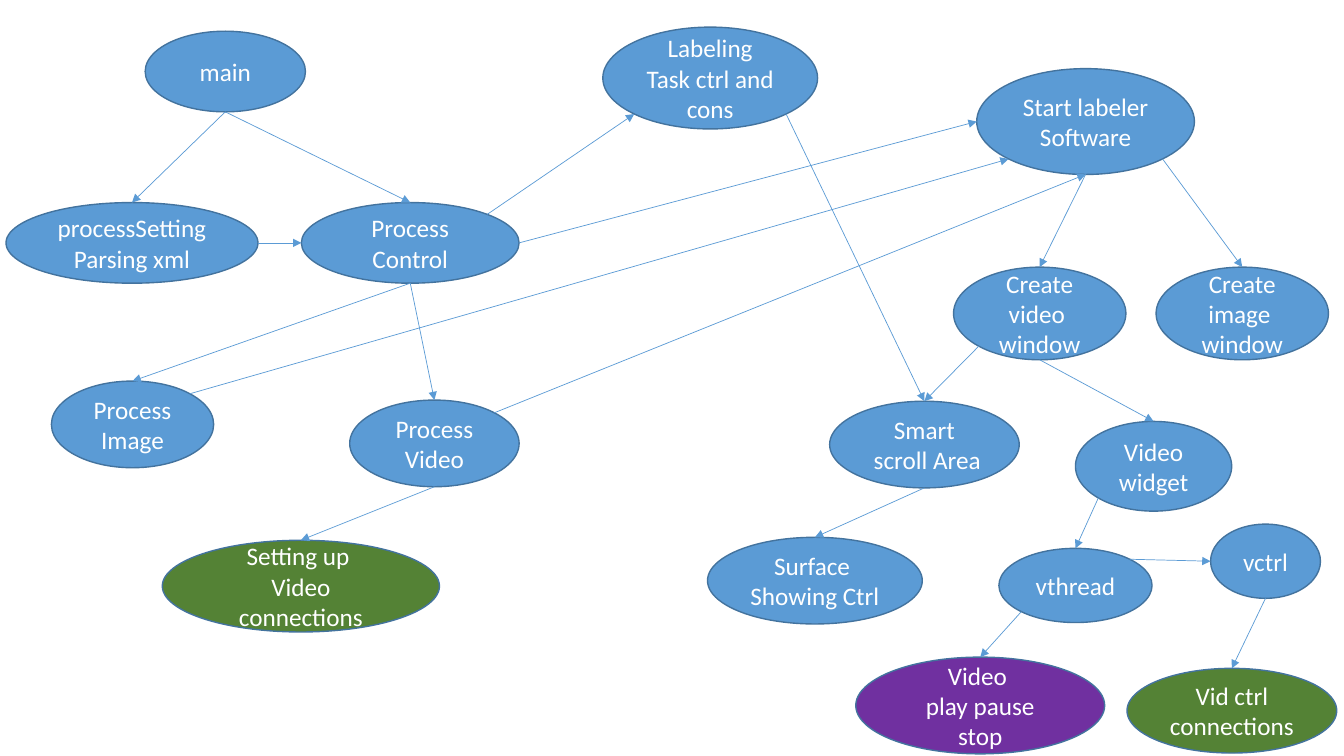
from math import sqrt

from lxml import etree
from pptx import Presentation
from pptx.dml.color import RGBColor
from pptx.enum.shapes import MSO_CONNECTOR, MSO_SHAPE
from pptx.enum.text import MSO_ANCHOR, PP_ALIGN
from pptx.oxml.ns import qn
from pptx.util import Pt

ELLIPSE = MSO_SHAPE.OVAL
STRAIGHT = MSO_CONNECTOR.STRAIGHT
CENTER = PP_ALIGN.CENTER
MIDDLE = MSO_ANCHOR.MIDDLE

COLORS = {
    "blue": "5B9BD5",
    "green": "548235",
    "purple": "7030A0",
    "outline": "43739E",
    "text": "FFFFFF",
}

# Nodes: left, top, width, height, fill, paragraphs
NODES = {
    "main": (103.7, 22.3, 114.5, 57.6, "blue", ["main"]),
    "setting": (4.3, 144.7, 180, 57.6, "blue", ["processSetting", "Parsing xml"]),
    "control": (215.3, 144.7, 155.5, 57.6, "blue", ["Process", "Control"]),
    "process video": (249.8, 285.8, 121, 61.9, "blue", ["Process Video"]),
    "process image": (36.7, 272.2, 115.9, 61.9, "blue", ["Process", "Image"]),
    "setup": (115.9, 385.9, 198, 65.5, "green", ["Setting up ", "Video connections"]),
    "labeler": (697.7, 49, 155.5, 75.6, "blue", ["Start labeler Software"]),
    "video window": (681.1, 190.8, 123.1, 66.2, "blue", ["Create video ", "window"]),
    "image window": (825.8, 190.8, 123.1, 66.2, "blue", ["Create image ", "window"]),
    "widget": (768.2, 301, 111.6, 64.1, "blue", ["Video widget"]),
    "playback": (611.3, 469.4, 177.8, 69.1, "purple", ["Video ", "play pause stop"]),
    "vid ctrl": (805, 477.4, 149.8, 60.5, "green", ["Vid ctrl", "connections"]),
    "labeling": (430.6, 19.4, 153.4, 72.7, "blue", ["Labeling", "Task ctrl and cons"]),
    "scroll": (592.6, 286.6, 135.4, 61.9, "blue", ["Smart", " scroll Area"]),
    "surface": (505.4, 383.8, 153.4, 61.9, "blue", ["Surface ", "Showing Ctrl"]),
    "vctrl": (864.7, 374.4, 78.5, 53, "blue", ["vctrl"]),
    "vthread": (713.5, 391.7, 109.4, 53, "blue", ["vthread"]),
}

# Arrows: from node, side, to node, side
ARROWS = [
    ("main", "bottom", "setting", "top"),
    ("main", "bottom", "control", "top"),
    ("setting", "right", "control", "left"),
    ("control", "bottom", "process image", "top"),
    ("control", "bottom", "process video", "top"),
    ("process video", "bottom", "setup", "top"),
    ("process image", "top right", "labeler", "bottom left"),
    ("process video", "top right", "labeler", "bottom"),
    ("labeler", "bottom", "video window", "top"),
    ("labeler", "bottom right", "image window", "top"),
    ("video window", "bottom", "widget", "top"),
    ("vthread", "bottom left", "playback", "top"),
    ("widget", "bottom left", "vthread", "top"),
    ("control", "right", "labeler", "left"),
    ("control", "top right", "labeling", "bottom left"),
    ("video window", "bottom left", "scroll", "top"),
    ("scroll", "bottom", "surface", "top"),
    ("labeling", "bottom right", "scroll", "top"),
    ("vctrl", "bottom", "vid ctrl", "top"),
    ("vthread", "top right", "vctrl", "left"),
]

# Connection sites of an ellipse, in index order, as unit offsets from its centre
D = sqrt(0.5)
SITES = {
    "top": (0, -1),
    "top left": (-D, -D),
    "left": (-1, 0),
    "bottom left": (-D, D),
    "bottom": (0, 1),
    "bottom right": (D, D),
    "right": (1, 0),
    "top right": (D, -D),
}
SITE_INDEX = {side: i for i, side in enumerate(SITES)}


def rgb(name):
    return RGBColor.from_string(COLORS[name])


def site_point(node, side):
    left, top, width, height = NODES[node][:4]
    dx, dy = SITES[side]
    return Pt(left + width / 2 * (1 + dx)), Pt(top + height / 2 * (1 + dy))


def add_node(slide, left, top, width, height, fill, lines):
    sp = slide.shapes.add_shape(ELLIPSE, Pt(left), Pt(top), Pt(width), Pt(height))
    sp.shadow.inherit = False
    sp.fill.solid()
    sp.fill.fore_color.rgb = rgb(fill)
    sp.line.color.rgb = rgb("outline")
    sp.line.width = Pt(1)
    tf = sp.text_frame
    tf.word_wrap = True
    tf.vertical_anchor = MIDDLE
    for i, line in enumerate(lines):
        p = tf.add_paragraph() if i else tf.paragraphs[0]
        p.text = line
        p.alignment = CENTER
        p.font.name = "Calibri"
        p.font.size = Pt(18)
        p.font.color.rgb = rgb("text")
    return sp


def add_arrow(slide, shapes, start, start_side, end, end_side):
    cxn = slide.shapes.add_connector(
        STRAIGHT, *site_point(start, start_side), *site_point(end, end_side))
    cxn.line.color.rgb = rgb("blue")
    cxn.line.width = Pt(0.5)
    etree.SubElement(cxn.line._get_or_add_ln(), qn("a:tailEnd"), type="triangle")
    etree.SubElement(cxn._element.spPr, qn("a:effectLst"))
    # Glue both ends to the ellipses
    glue = cxn._element.nvCxnSpPr.cNvCxnSpPr
    for tag, node, side in (("a:stCxn", start, start_side), ("a:endCxn", end, end_side)):
        etree.SubElement(glue, qn(tag), id=str(shapes[node].shape_id),
                         idx=str(SITE_INDEX[side]))


prs = Presentation()
prs.slide_width, prs.slide_height = Pt(960), Pt(540)
slide = prs.slides.add_slide(prs.slide_layouts[6])

shapes = {name: add_node(slide, *node) for name, node in NODES.items()}
for arrow in ARROWS:
    add_arrow(slide, shapes, *arrow)

prs.save("out.pptx")
